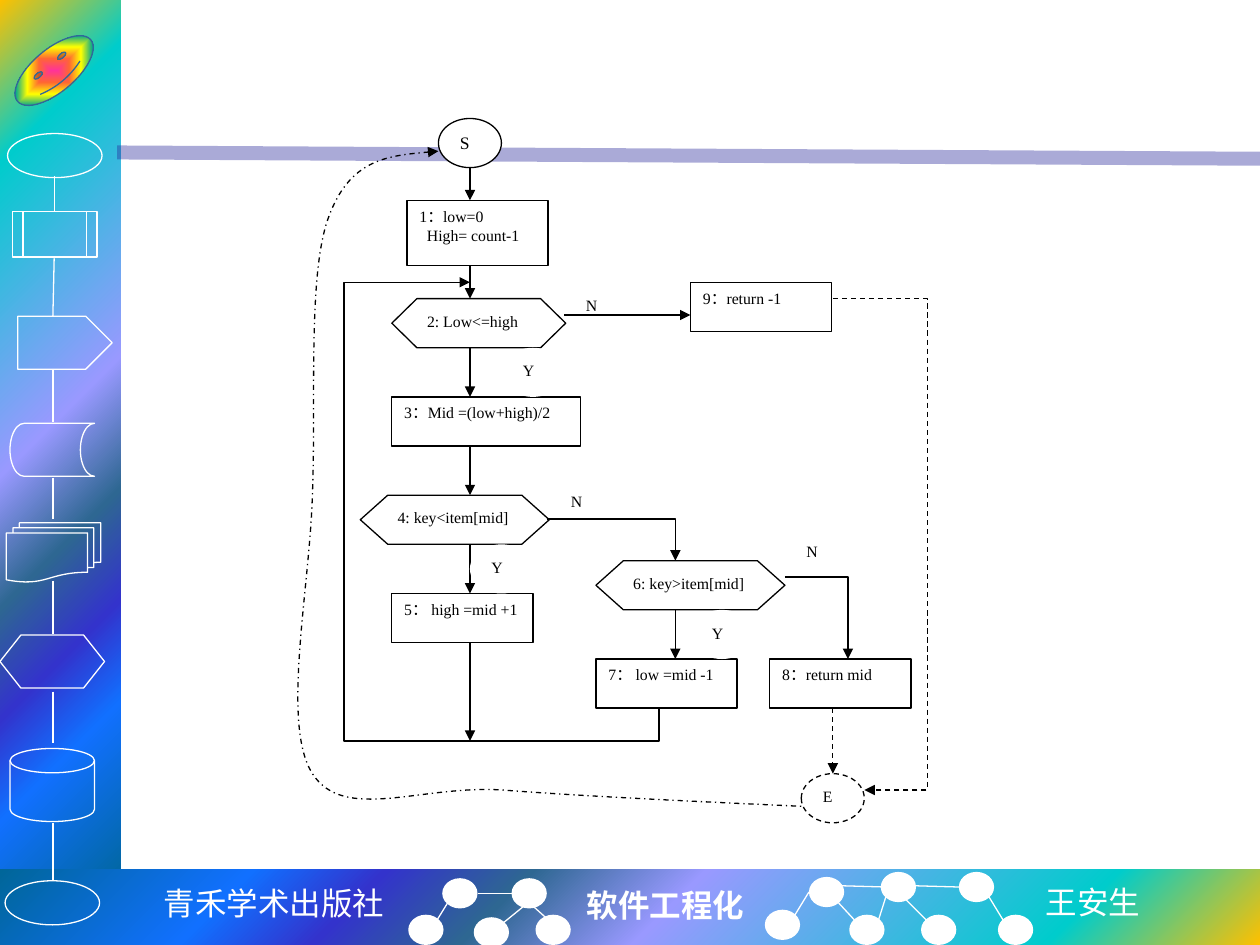
import pptx
import pptx.util
import pptx.oxml.ns
import lxml.etree
from pptx.dml.color import RGBColor
from pptx.enum.dml import MSO_LINE
from pptx.enum.shapes import MSO_CONNECTOR, MSO_SHAPE
from pptx.enum.text import MSO_ANCHOR, PP_ALIGN

Inches = pptx.util.Inches
qn = pptx.oxml.ns.qn

COLORS = {"white": "FFFFFF", "black": "000000", "rule": "262699", "badge": "336699"}
SERIF, SANS, MONO = "Times New Roman", "Noto Sans CJK SC", "Noto Sans Mono"
FRAME_STOPS = [(0, "FFC000"), (16, "00CCCC"), (47, "9999FF"), (60, "2E6792"),
               (71, "3333CC"), (81, "1170FF"), (100, "006699")]
BADGE_STOPS = [(0, "FF3399"), (25, "FF6633"), (50, "FFFF00"), (75, "01A78F"), (100, "3366FF")]

SIDEBAR_SHAPES = [
    (MSO_SHAPE.FLOWCHART_PREDEFINED_PROCESS, 0.1, 1.68, 0.67, 0.36),
    (MSO_SHAPE.FLOWCHART_STORED_DATA, 0.08, 3.36, 0.67, 0.42),
    (MSO_SHAPE.FLOWCHART_MAGNETIC_DISK, 0.08, 5.94, 0.67, 0.58),
    (MSO_SHAPE.FLOWCHART_PREPARATION, 0, 5.04, 0.83, 0.42),
    (MSO_SHAPE.FLOWCHART_MULTIDOCUMENT, 0.05, 4.15, 0.75, 0.47),
    (MSO_SHAPE.PENTAGON, 0.14, 2.51, 0.75, 0.42),
    (MSO_SHAPE.OVAL, 0.06, 1.06, 0.75, 0.35),
    (MSO_SHAPE.OVAL, 0.04, 6.99, 0.75, 0.35),
]
SIDEBAR_LINKS = [(0.43, 1.4, 0.43, 1.68), (0.43, 2.05, 0.42, 2.51), (0.42, 2.93, 0.42, 3.35),
                 (0.42, 3.79, 0.42, 4.12), (0.42, 4.61, 0.42, 5.03), (0.42, 5.49, 0.42, 5.9),
                 (0.42, 6.53, 0.42, 6.99)]
TREE_NODES = [(3.51, 6.97), (6.42, 6.96), (3.24, 7.26), (6.74, 7.26), (6.99, 6.92), (3.76, 7.28),
              (7.61, 6.92), (7.92, 7.26), (7.31, 7.26), (4.06, 6.97), (6.07, 7.22), (4.25, 7.26)]
TREE_LINKS = [(3.47, 7.3, 3.55, 7.17), (4, 7.32, 4.16, 7.19), (4.06, 7.09, 3.79, 7.09),
              (6.78, 7.3, 6.65, 7.16), (7.35, 7.3, 7.15, 7.1), (7.96, 7.3, 7.85, 7.12),
              (6.97, 7.31, 7.03, 7.12), (7.26, 7.03, 7.61, 7.04), (6.31, 7.26, 6.42, 7.08),
              (6.68, 7.03, 7.03, 7.04), (4.34, 7.29, 4.24, 7.2)]
FOOTER_TEXTS = [
    ("青禾学术出版社", 1.19, 6.97, 1.97, MONO, False, PP_ALIGN.CENTER),
    ("软件工程化", 4.56, 6.98, 1.46, SERIF, True, PP_ALIGN.LEFT),
    ("王安生", 8.2, 6.96, 0.96, SANS, False, PP_ALIGN.LEFT),
]

ROW = 0.39
STEPS = [
    (["1：low=0", "High= count-1"], 3.23, 1.59, 1.12, 0.52),
    (["3：Mid =(low+high)/2"], 3.11, 3.15, 1.5, ROW),
    (["5： high =mid +1"], 3.11, 4.71, 1.12, ROW),
    (["7： low =mid -1"], 4.73, 5.23, 1.12, ROW),
    (["8：return mid"], 6.11, 5.23, 1.12, ROW),
    (["9：return -1"], 5.48, 2.24, 1.12, ROW),
]
DECISIONS = [("2: Low<=high", 3.11, 2.37, 1.38, 0.51), ("4: key<item[mid]", 2.86, 3.93, 1.5, 0.56),
             ("6: key>item[mid]", 4.73, 4.45, 1.5, 0.56)]
TERMINALS = [("S", 3.48, 0.94, 10, None), ("E", 6.36, 6.14, 9, MSO_LINE.DASH)]
BRANCH_LABELS = [("Y", 3.98, 2.76), ("N", 4.48, 2.24), ("Y", 3.73, 4.32),
                 ("Y", 5.48, 4.84), ("N", 6.23, 4.19), ("N", 4.36, 3.8)]
ARROWS = [(3.73, 1.33, 3.73, 1.59), (3.73, 2.11, 3.73, 2.37), (3.73, 2.76, 3.73, 3.15),
          (3.73, 3.54, 3.73, 3.93), (4.48, 2.5, 5.48, 2.5), (3.73, 4.32, 3.73, 4.71),
          (5.36, 4.84, 5.36, 5.23), (3.73, 5.1, 3.73, 5.88)]
DASHED_ARROW = (6.61, 5.62, 6.61, 6.14)
ELBOWS = [
    ([(6.23, 4.58), (6.73, 4.58), (6.73, 5.23)], None),
    ([(4.34, 4.12), (5.36, 4.12), (5.36, 4.45)], None),
    ([(5.23, 5.62), (5.23, 5.88), (2.73, 5.88), (2.73, 2.24), (3.73, 2.24)], None),
    ([(6.61, 2.37), (7.36, 2.37), (7.36, 6.27), (6.86, 6.27)], MSO_LINE.DASH),
]
RETURN_CURVE = [(3.48, 1.2), (3.13, 1.23), (2.78, 1.26), (2.61, 1.72), (2.44, 2.17), (2.51, 3.19),
                (2.48, 3.93), (2.46, 4.67), (2.23, 5.75), (2.48, 6.14), (2.73, 6.53), (3.34, 6.23),
                (3.98, 6.27), (4.63, 6.32), (5.49, 6.36), (6.36, 6.4)]


def rgb(name):
    return RGBColor.from_string(COLORS[name])


def style_line(line, color, width=0.75, dash=None):
    line.color.rgb = rgb(color)
    line.width = pptx.util.Pt(width)
    if dash:
        line.dash_style = dash


def add_arrowhead(shape, end="tailEnd"):
    lxml.etree.SubElement(shape.line._get_or_add_ln(), qn("a:" + end), type="triangle")


def add_shape(kind, left, top, width, height, fill=None, line=None, dash=None):
    shape = slide.shapes.add_shape(kind, *map(Inches, (left, top, width, height)))
    shape.shadow.inherit = False
    if fill:
        shape.fill.solid()
        shape.fill.fore_color.rgb = rgb(fill)
    else:
        shape.fill.background()
    if line:
        style_line(shape.line, line, dash=dash)
    else:
        shape.line.fill.background()
    return shape


def fill_gradient(shape, stops, kind, focus):
    shape.fill.gradient()
    gradient = shape._element.spPr.find(qn("a:gradFill"))
    for child in list(gradient):
        gradient.remove(child)
    stop_list = lxml.etree.SubElement(gradient, qn("a:gsLst"))
    for position, color in stops:
        stop = lxml.etree.SubElement(stop_list, qn("a:gs"), pos=str(position * 1000))
        lxml.etree.SubElement(stop, qn("a:srgbClr"), val=color)
    shade = lxml.etree.SubElement(gradient, qn("a:path"), {"path": kind})
    sides = {side: str(value * 1000) for side, value in zip("ltrb", focus)}
    lxml.etree.SubElement(shade, qn("a:fillToRect"), sides)


def add_line(points, color, width=0.75, dash=None, arrow=False):
    connector = slide.shapes.add_connector(MSO_CONNECTOR.STRAIGHT, *map(Inches, points))
    style_line(connector.line, color, width, dash)
    if arrow:
        add_arrowhead(connector)
    lxml.etree.SubElement(connector._element.spPr, qn("a:effectLst"))
    return connector


def add_outline(points, dash):
    points = [(Inches(x), Inches(y)) for x, y in points]
    builder = slide.shapes.build_freeform(*points[0])
    builder.add_line_segments(points[1:], close=False)
    shape = builder.convert_to_shape()
    shape.shadow.inherit = False
    shape.fill.background()
    style_line(shape.line, "black", dash=dash)
    return shape


def bend_segments(shape):
    segments = list(shape._element.iter(qn("a:lnTo")))
    for first in range(0, len(segments), 3):
        curve = lxml.etree.Element(qn("a:cubicBezTo"))
        segments[first].addprevious(curve)
        for segment in segments[first:first + 3]:
            curve.append(segment[0])
            segment.getparent().remove(segment)


def write(shape, lines, size=9, color="black", font=SERIF, bold=False, align=PP_ALIGN.JUSTIFY):
    frame = shape.text_frame
    frame.vertical_anchor = MSO_ANCHOR.TOP
    frame.text = "\n".join(lines)
    for index, paragraph in enumerate(frame.paragraphs):
        paragraph.alignment = align
        paragraph.font.name = font
        paragraph.font.size = pptx.util.Pt(size)
        paragraph.font.bold = bold
        paragraph.font.color.rgb = rgb(color)
        lxml.etree.SubElement(paragraph.font._element, qn("a:ea"), typeface=SANS)
        if index:
            paragraph._p.get_or_add_pPr().set("marL", str(Inches(0.06)))


presentation = pptx.Presentation()
presentation.slide_width, presentation.slide_height = Inches(10), Inches(7.5)
slide = presentation.slides.add_slide(presentation.slide_layouts[6])

for box, focus in [((0, 0, 0.96, 7.09), (0, 0, 100, 100)), ((0, 6.9, 10, 0.6), (100, 100, 0, 0))]:
    fill_gradient(add_shape(MSO_SHAPE.RECTANGLE, *box), FRAME_STOPS, "circle", focus)
rule = add_line((0.93, 1.21, 10, 1.26), "rule", 8)
rule_color = next(rule._element.spPr.iter(qn("a:srgbClr")))
lxml.etree.SubElement(rule_color, qn("a:alpha"), val="39000")

for kind, *box in SIDEBAR_SHAPES:
    add_shape(kind, *box, line="white")
badge = add_shape(MSO_SHAPE.SMILEY_FACE, 0.05, 0.39, 0.76, 0.34, line="badge")
badge.rotation = -40
fill_gradient(badge, BADGE_STOPS, "shape", (50, 50, 50, 50))
for left, top in TREE_NODES:
    add_shape(MSO_SHAPE.OVAL, left, top, 0.28, 0.24, fill="white")
for points in SIDEBAR_LINKS + TREE_LINKS:
    add_line(points, "white")
for text, left, top, width, font, bold, align in FOOTER_TEXTS:
    text_box = slide.shapes.add_textbox(*map(Inches, (left, top, width, 0.4)))
    text_box.text_frame.word_wrap = False
    write(text_box, [text], 18, "white", font, bold, align)

for lines, *box in STEPS:
    write(add_shape(MSO_SHAPE.RECTANGLE, *box, fill="white", line="black"), lines)
for text, left, top, width, slant in DECISIONS:
    decision = add_shape(MSO_SHAPE.HEXAGON, left, top, width, ROW, fill="white", line="black")
    decision.adjustments[0] = slant
    write(decision, [text])
for text, left, top, size, dash in TERMINALS:
    write(add_shape(MSO_SHAPE.OVAL, left, top, 0.5, ROW, "white", "black", dash), [text], size)

for points in ARROWS:
    add_line(points, "black", arrow=True)
add_line(DASHED_ARROW, "black", dash=MSO_LINE.DASH, arrow=True)
for points, dash in ELBOWS:
    add_arrowhead(add_outline(points, dash))
return_path = add_outline(RETURN_CURVE, MSO_LINE.DASH_DOT)
bend_segments(return_path)
add_arrowhead(return_path, "headEnd")
for text, left, top in BRANCH_LABELS:
    fill = "white" if text == "Y" else None
    write(add_shape(MSO_SHAPE.OVAL, left, top, 0.5, ROW, fill), [text])

presentation.save("out.pptx")
